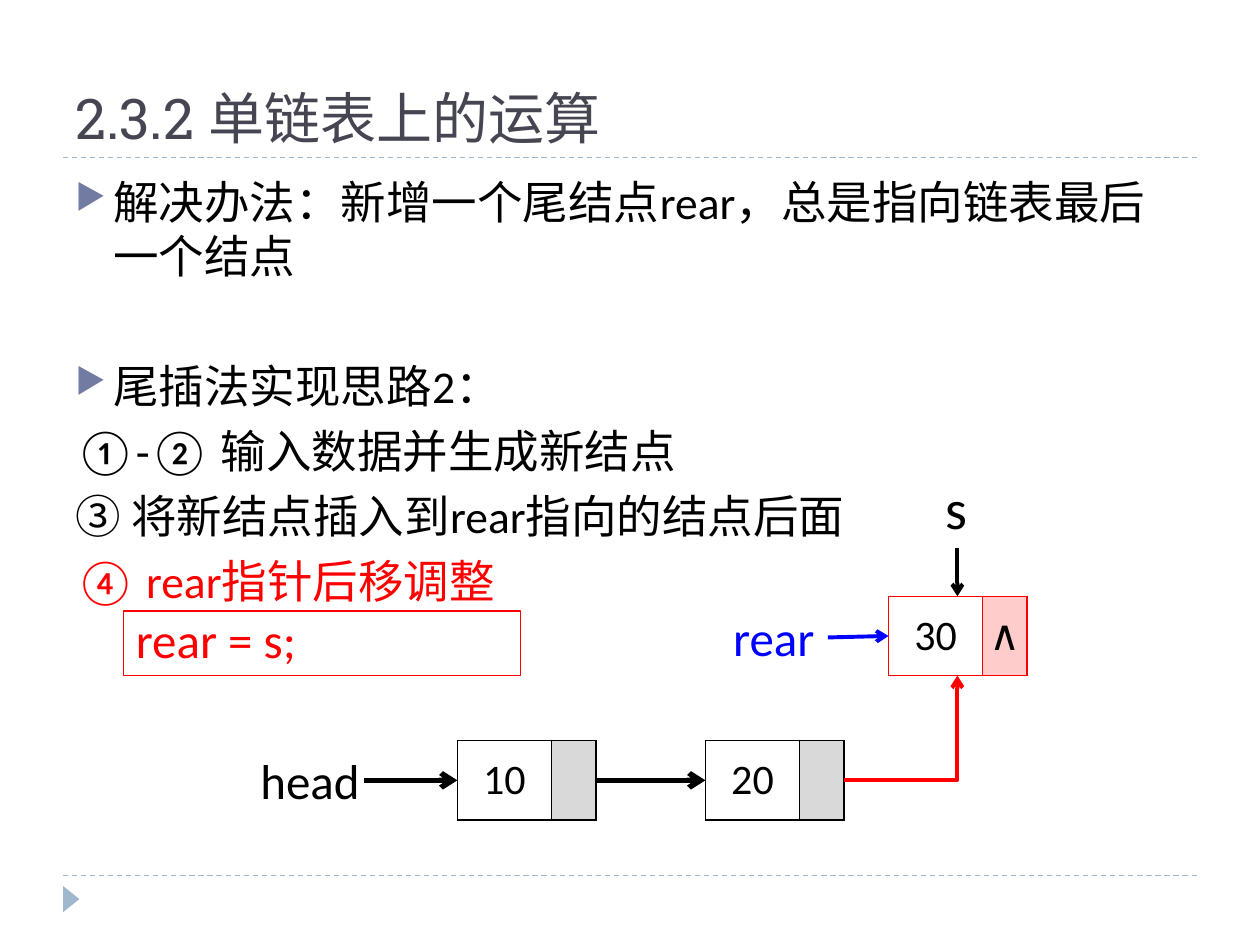
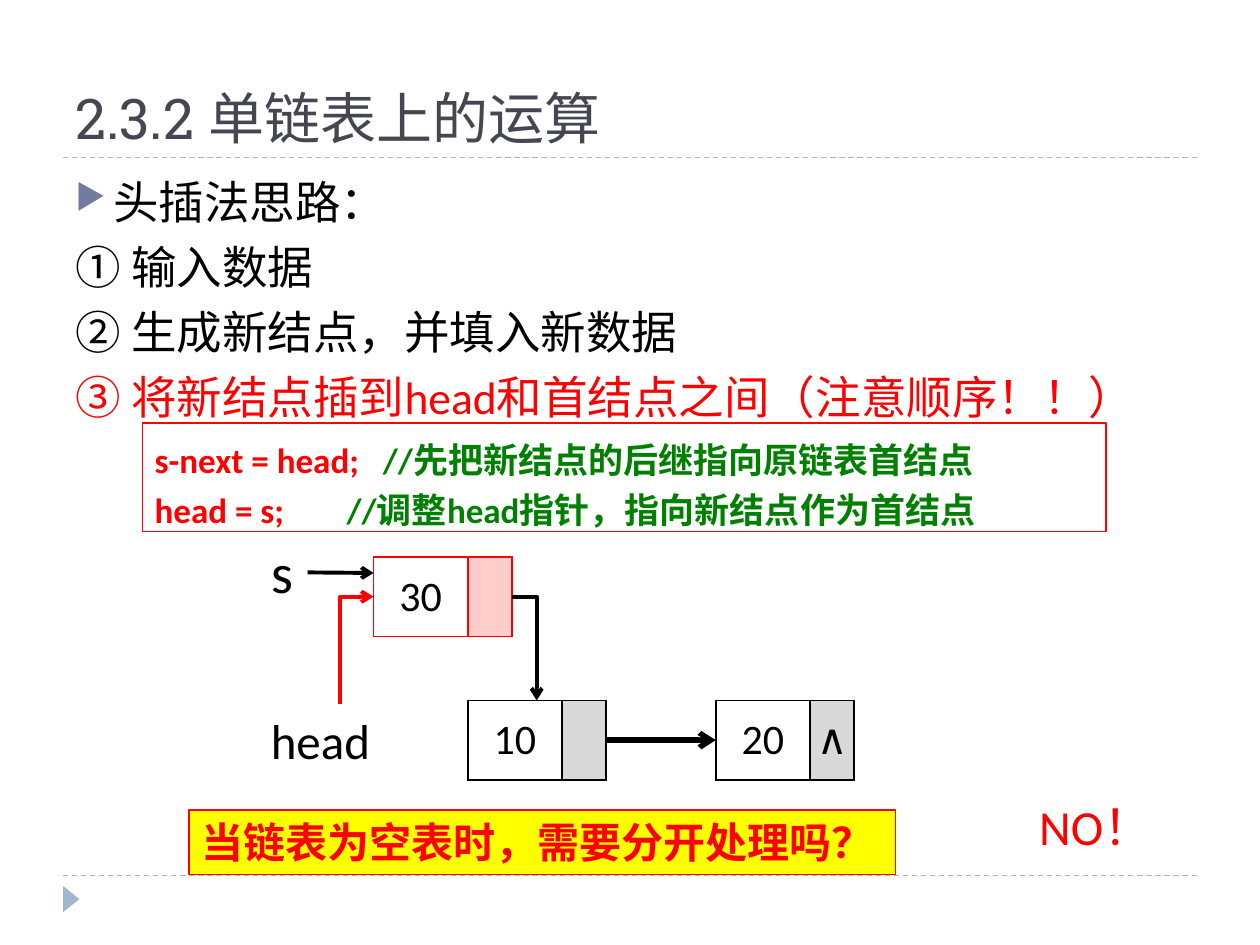
import pptx
import pptx.util
import pptx.dml.color
import pptx.enum.dml
import pptx.enum.shapes
import pptx.enum.text
import pptx.oxml
import pptx.oxml.ns

Cm = pptx.util.Cm
Pt = pptx.util.Pt
RGB = pptx.dml.color.RGBColor
SHAPE = pptx.enum.shapes.MSO_SHAPE
LINK = pptx.enum.shapes.MSO_CONNECTOR
ANCHOR = pptx.enum.text.MSO_ANCHOR
qn = pptx.oxml.ns.qn

BLACK = RGB(0, 0, 0)
WHITE = RGB(0xFF, 0xFF, 0xFF)
RED = RGB(0xFF, 0, 0)
BLUE = RGB(0, 0, 0xFF)
GREEN = RGB(0, 0x80, 0)
YELLOW = RGB(0xFF, 0xFF, 0)
PINK = RGB(0xFF, 0xCC, 0xCC)
GRAY = RGB(0xD9, 0xD9, 0xD9)
INK = RGB(0x46, 0x46, 0x53)
RULE = RGB(0x9F, 0xB8, 0xCD)
BULLET = RGB(0x72, 0x7C, 0xA3)

FONT = "Calibri"
HEADING = "Roboto Slab"

# List node: value cell, pointer cell, height and pitch along the chain
VALUE, LINKW, HIGH, PITCH = 1.9, 0.89, 1.6, 5.0
WIDE, MID = VALUE + LINKW, HIGH / 2


def add_xml(parent, tag, **attrs):
    node = pptx.oxml.parse_xml(
        f'<a:{tag} xmlns:a="http://schemas.openxmlformats.org/drawingml/2006/main"/>')
    for name, value in attrs.items():
        node.set(name, str(value))
    parent.append(node)
    return node


def add_run(para, text, size, color, font=FONT, bold=False):
    run = para.add_run()
    run.text = text
    run.font.size = Pt(size)
    run.font.name = font
    run.font.bold = bold
    run.font.color.rgb = color


def add_line(slide, start, end, color, width=2.25, kind=LINK.STRAIGHT):
    line = slide.shapes.add_connector(kind, *map(Cm, (*start, *end)))
    line.line.color.rgb = color
    line.line.width = Pt(width)
    add_xml(line._element.spPr, "effectLst")
    return line


def add_arrow(slide, start, end, color, width=2.25, tip="tailEnd"):
    line = add_line(slide, start, end, color, width)
    add_xml(line.line._get_or_add_ln(), tip, type="arrow")
    return line


def add_bend(slide, start, end, color, tip="tailEnd"):
    # One corner: runs across from start, then up or down to end
    line = add_arrow(slide, start, end, color, tip=tip)
    line._element.spPr.find(qn("a:prstGeom")).set("prst", "bentConnector2")


def add_label(slide, box, text, size, color, wrap=False):
    frame = slide.shapes.add_textbox(*map(Cm, box)).text_frame
    frame.word_wrap = wrap
    frame.auto_size = pptx.enum.text.MSO_AUTO_SIZE.SHAPE_TO_FIT_TEXT
    add_run(frame.paragraphs[0], text, size, color)


def add_panel(slide, box, lines, size, bold=False, fill=None, pitch=None):
    # Each line: (runs, tab stop in cm or None)
    shape = slide.shapes.add_shape(SHAPE.RECTANGLE, *map(Cm, box))
    shape.shadow.inherit = False
    shape.line.color.rgb = RED
    shape.line.width = Pt(0.75)
    if fill is None:
        shape.fill.background()
    else:
        shape.fill.solid()
        shape.fill.fore_color.rgb = fill
    frame = shape.text_frame
    frame.word_wrap = True
    frame.vertical_anchor = ANCHOR.TOP
    for i, (runs, tab) in enumerate(lines):
        para = frame.add_paragraph() if i else frame.paragraphs[0]
        para.alignment = pptx.enum.text.PP_ALIGN.LEFT
        if pitch:
            para.line_spacing = Pt(pitch)
        if tab:
            stops = add_xml(para._p.get_or_add_pPr(), "tabLst")
            add_xml(stops, "tab", pos=int(Cm(tab)), algn="l")
        for text, color in runs:
            add_run(para, text, size, color, bold=bold)


def add_node(slide, x, y, value, mark="", edge=BLACK, shade=GRAY):
    table = slide.shapes.add_table(
        1, 2, Cm(x), Cm(y), Cm(WIDE), Cm(HIGH)).table
    parts = ((VALUE, value, WHITE), (LINKW, mark, shade))
    for i, (width, text, fill) in enumerate(parts):
        table.columns[i].width = Cm(width)
        cell = table.cell(0, i)
        cell.margin_left = cell.margin_right = 0
        cell.margin_top = cell.margin_bottom = 0
        cell.vertical_anchor = ANCHOR.MIDDLE
        props = cell._tc.get_or_add_tcPr()
        for side in ("lnL", "lnR", "lnT", "lnB"):
            border = add_xml(props, side, w=int(Pt(1)))
            add_xml(add_xml(border, "solidFill"), "srgbClr", val=edge)
        cell.fill.solid()
        cell.fill.fore_color.rgb = fill
        if text:
            para = cell.text_frame.paragraphs[0]
            para.alignment = pptx.enum.text.PP_ALIGN.CENTER
            add_run(para, text, 24, BLACK)


def add_chain(slide, x, y, mark=""):
    # Nodes 10 and 20 with the arrow between them, and the head label
    add_label(slide, (x - 4.22, y + 0.08, 2.54, 1.45), "head", 28, BLACK)
    add_node(slide, x, y, "10")
    add_node(slide, x + PITCH, y, "20", mark)
    add_arrow(slide, (x + WIDE, y + MID), (x + PITCH, y + MID), BLACK, 3)


def add_frame(slide):
    # Title, dashed rules and corner mark
    for y in (17.65, 3.18):
        rule = add_line(slide, (1.27, y), (24.13, y), RULE, 0.75)
        rule.line.dash_style = pptx.enum.dml.MSO_LINE.DASH
    mark = slide.shapes.add_shape(
        SHAPE.ISOSCELES_TRIANGLE, Cm(1.17), Cm(17.96), Cm(0.53), Cm(0.33))
    mark.rotation = 90
    mark.shadow.inherit = False
    mark.fill.solid()
    mark.fill.fore_color.rgb = RULE
    mark.line.fill.background()
    frame = slide.shapes.add_textbox(
        Cm(1.27), Cm(0.43), Cm(22.86), Cm(2.74)).text_frame
    frame.word_wrap = True
    frame.vertical_anchor = ANCHOR.BOTTOM
    add_run(frame.paragraphs[0], "2.3.2 单链表上的运算", 32, INK, HEADING)


def add_body(slide, lines):
    # Each line: (text, colour, bulleted, space before)
    frame = slide.shapes.add_textbox(
        Cm(1.27), Cm(3.38), Cm(22.86), Cm(13.72)).text_frame
    frame.word_wrap = True
    for i, (text, color, dot, gap) in enumerate(lines):
        para = frame.add_paragraph() if i else frame.paragraphs[0]
        para.space_before = Pt(gap)
        if dot:
            props = para._p.get_or_add_pPr()
            props.set("marL", str(int(Cm(0.76))))
            props.set("indent", str(int(Cm(-0.76))))
            add_xml(add_xml(props, "buClr"), "srgbClr", val=BULLET)
            add_xml(props, "buSzPct", val=76000)
            add_xml(props, "buChar", char="▶")
        add_run(para, text, 26, color)


def draw_tail(slide):
    add_frame(slide)
    add_body(slide, [
        ("解决办法：新增一个尾结点rear，总是指向链表最后一个结点", BLACK, True, 6),
        ("尾插法实现思路2：", BLACK, True, 43),
        ("①-② 输入数据并生成新结点", BLACK, False, 6),
        ("③ 将新结点插入到rear指向的结点后面", BLACK, False, 6),
        ("④ rear指针后移调整", RED, False, 6),
    ])
    # Chain
    x, y = 9.22, 14.93
    add_chain(slide, x, y)
    add_arrow(slide, (x - 1.88, y + MID), (x, y + MID), BLACK, 3)
    # New last node with its pointers
    newx, newy = 17.91, 12.02
    down = newx + 1.39
    add_node(slide, newx, newy, "30", "∧", RED, PINK)
    add_label(slide, (18.82, 9.42, 0.97, 1.63), "s", 32, BLACK)
    add_arrow(slide, (down, 11.05), (down, newy), BLACK)
    add_label(slide, (14.53, 12.12, 2.16, 1.45), "rear", 28, BLUE)
    add_arrow(slide, (16.69, 12.85), (newx, newy + MID), BLUE)
    add_bend(slide, (x + PITCH + WIDE, y + MID), (down, newy + HIGH), RED)
    add_panel(slide, (2.49, 12.32, 8, 1.3),
              [([("rear = s;", RED)], None)], 28, pitch=29)


def draw_head(slide):
    add_frame(slide)
    add_body(slide, [
        ("头插法思路：", BLACK, True, 6),
        ("① 输入数据", BLACK, False, 6),
        ("② 生成新结点，并填入新数据", BLACK, False, 6),
        ("③ 将新结点插到head和首结点之间（注意顺序！！）", RED, False, 6),
    ])
    # Chain
    x, y = 9.43, 14.12
    add_chain(slide, x, y, "∧")
    # New first node with its pointers
    newx, newy = 7.53, 11.23
    add_label(slide, (5.23, 10.72, 0.97, 1.63), "s", 32, BLACK)
    add_arrow(slide, (6.2, 11.54), (newx, 11.55), BLACK)
    add_node(slide, newx, newy, "30", "", RED, PINK)
    add_bend(slide, (newx + WIDE, newy + MID), (x + 1.39, y), BLACK)
    add_bend(slide, (newx, newy + MID), (6.86, 14.2), RED, "headEnd")
    # Code, question and answer
    add_panel(slide, (2.87, 8.53, 19.43, 2.18), [
        ([("s-next = head;\t", RED),
          ("//先把新结点的后继指向原链表首结点", GREEN)], 4.6),
        ([("head = s;\t", RED),
          ("//调整head指针，指向新结点作为首结点", GREEN)], 3.87),
    ], 20, bold=True, pitch=29)
    add_panel(slide, (3.81, 16.33, 14.25, 1.3),
              [([("当链表为空表时，需要分开处理吗？", RED)], None)],
              24, bold=True, fill=YELLOW)
    add_label(slide, (20.7, 15.93, 2.82, 1.45), "NO！", 28, RED, wrap=True)


def main():
    deck = pptx.Presentation()
    deck.slide_width, deck.slide_height = Cm(25.4), Cm(19.05)
    for draw in (draw_tail, draw_head):
        draw(deck.slides.add_slide(deck.slide_layouts[6]))
    deck.save("out.pptx")


if __name__ == "__main__":
    main()
